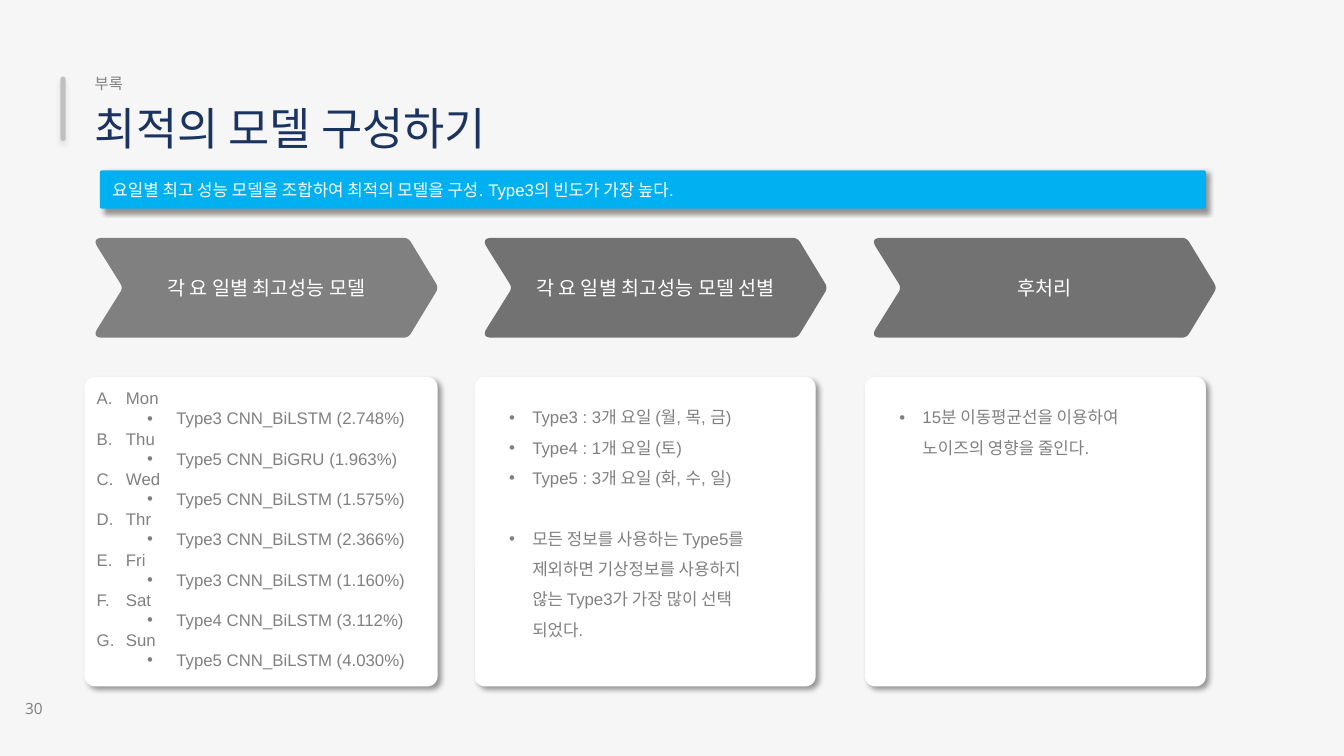
from lxml import etree
from pptx import Presentation
from pptx.dml.color import RGBColor
from pptx.enum.shapes import MSO_SHAPE
from pptx.enum.text import MSO_ANCHOR, PP_ALIGN
from pptx.oxml.ns import qn
from pptx.util import Emu, Inches, Pt

ROUNDED = MSO_SHAPE.ROUNDED_RECTANGLE
TOP, MIDDLE = MSO_ANCHOR.TOP, MSO_ANCHOR.MIDDLE
LEFT, CENTER = PP_ALIGN.LEFT, PP_ALIGN.CENTER

COLORS = {
    "background": "F6F6F6", "title": "1B335F", "text": "808080", "white": "FFFFFF",
    "accent": "BFBFBF", "banner": "00B0F0", "first_step": "808080", "step": "727272",
    "page": "7F7F7F", "black": "000000",
}

SECTION = "부록"
TITLE = "최적의 모델 구성하기"
PAGE = "30"
SUMMARY = "요일별 최고 성능 모델을 조합하여 최적의 모델을 구성. Type3의 빈도가 가장 높다."
STEPS = ["각 요 일별 최고성능 모델", "각 요 일별 최고성능 모델 선별", "후처리"]
BEST_MODELS = [
    ("Mon", "Type3 CNN_BiLSTM (2.748%)"),
    ("Thu", "Type5 CNN_BiGRU (1.963%)"),
    ("Wed", "Type5 CNN_BiLSTM (1.575%)"),
    ("Thr", "Type3 CNN_BiLSTM (2.366%)"),
    ("Fri", "Type3 CNN_BiLSTM (1.160%)"),
    ("Sat", "Type4 CNN_BiLSTM (3.112%)"),
    ("Sun", "Type5 CNN_BiLSTM (4.030%)"),
]
SELECTION = [
    "Type3 : 3개 요일 (월, 목, 금)",
    "Type4 : 1개 요일 (토)",
    "Type5 : 3개 요일 (화, 수, 일)",
    "모든 정보를 사용하는 Type5를 제외하면 기상정보를 사용하지 않는 Type3가 가장 많이 선택 되었다.",
]
POSTPROCESSING = ["15분 이동평균선을 이용하여 노이즈의 영향을 줄인다."]

STEP_LEFT, STEP_TOP, STEP_PITCH = 0.96, 2.36, 3.86
PANEL_LEFT, PANEL_TOP, PANEL_PITCH, PANEL_HEIGHT = 0.84, 3.74, 3.87, 3.07
PANEL_WIDTHS = [3.5, 3.38, 3.38]
CHEVRON = [
    (-0.05, 0, 0.11), (3.09, 0, 0.05), (3.39, 0.495, 0.05),
    (3.09, 0.99, 0.05), (-0.05, 0.99, 0.11), (0.26, 0.495, 0.05),
]


def rgb(name):
    return RGBColor.from_string(COLORS[name])


def paint(shape, fill):
    shape.shadow.inherit = False
    shape.fill.solid()
    shape.fill.fore_color.rgb = rgb(fill)
    shape.line.fill.background()


def add_shadow(shape, color, opacity, angle):
    effects = shape.fill._xPr.find(qn("a:effectLst"))
    shadow = etree.SubElement(effects, qn("a:outerShdw"), blurRad=str(Pt(4)),
                              dist=str(Pt(3)), dir=str(angle * 60000),
                              algn="ctr", rotWithShape="0")
    tint = etree.SubElement(shadow, qn("a:srgbClr"), val=COLORS[color])
    etree.SubElement(tint, qn("a:alpha"), val=str(opacity * 1000))


def add_rounded(slide, box, corner, fill, shadow):
    shape = slide.shapes.add_shape(ROUNDED, *map(Inches, box))
    shape.adjustments[0] = corner
    paint(shape, fill)
    add_shadow(shape, *shadow)
    return shape


def set_frame(frame, insets, anchor, wrap=True):
    frame.margin_left, frame.margin_top, frame.margin_right, frame.margin_bottom = map(Inches, insets)
    frame.vertical_anchor = anchor
    frame.word_wrap = wrap


def style(paragraph, size, color, font="Arial", align=LEFT):
    paragraph.alignment = align
    paragraph.font.size = Pt(size)
    paragraph.font.name = font
    paragraph.font.color.rgb = rgb(color)


def write(frame, text, size, color, font="Arial", align=LEFT):
    frame.text = text
    style(frame.paragraphs[0], size, color, font, align)


def add_item(frame, text, indent, hanging, level=0, numbered=False):
    first = frame.paragraphs[0]
    paragraph = first if not first.runs else frame.add_paragraph()
    paragraph.text = text
    paragraph.level = level
    properties = paragraph._p.get_or_add_pPr()
    properties.set("marL", str(Inches(indent)))
    properties.set("indent", str(Inches(-hanging)))
    if numbered:
        etree.SubElement(properties, qn("a:buAutoNum"), type="alphaUcPeriod")
    else:
        etree.SubElement(properties, qn("a:buFont"), typeface="Arial")
        etree.SubElement(properties, qn("a:buChar"), char="•")
    style(paragraph, 12, "text")
    return paragraph


def toward(corner, other, distance):
    dx, dy = other[0] - corner[0], other[1] - corner[1]
    share = distance / (dx * dx + dy * dy) ** 0.5
    return corner[0] + dx * share, corner[1] + dy * share


def rounded_outline(corners, left, top, pieces=8):
    outline = []
    for i, corner in enumerate(corners):
        start = toward(corner, corners[i - 1], corner[2])
        end = toward(corner, corners[(i + 1) % len(corners)], corner[2])
        for piece in range(pieces + 1):
            t = piece / pieces
            x, y = ((1 - t) ** 2 * a + 2 * t * (1 - t) * b + t * t * c
                    for a, b, c in zip(start, corner, end))
            outline.append((Inches(left + x), Inches(top + y)))
    return outline


def add_step(slide, index, label):
    outline = rounded_outline(CHEVRON, STEP_LEFT + index * STEP_PITCH, STEP_TOP)
    builder = slide.shapes.build_freeform(*outline[0], scale=1.0)
    builder.add_line_segments(outline[1:], close=True)
    step = builder.convert_to_shape()
    paint(step, "step" if index else "first_step")
    set_frame(step.text_frame, (0.02, 0.02, 0.02, 0.02), MIDDLE)
    write(step.text_frame, label, 14, "white", align=CENTER)


def add_panel(slide, index, insets):
    box = (PANEL_LEFT + index * PANEL_PITCH, PANEL_TOP, PANEL_WIDTHS[index], PANEL_HEIGHT)
    panel = add_rounded(slide, box, 0.033, "white", ("black", 40, 45))
    set_frame(panel.text_frame, insets, TOP)
    return panel.text_frame


def add_label(slide, box, text, size, color, font, wrap):
    frame = slide.shapes.add_textbox(*map(Inches, box)).text_frame
    set_frame(frame, (0.1, 0.05, 0.1, 0.05), TOP, wrap)
    write(frame, text, size, color, font)


def main():
    deck = Presentation()
    deck.slide_width, deck.slide_height = Inches(13.33), Inches(7.5)
    slide = deck.slides.add_slide(deck.slide_layouts[5])
    slide.background.fill.solid()
    slide.background.fill.fore_color.rgb = rgb("background")

    add_rounded(slide, (0.6, 0.76, 0.05, 0.64), 0.5, "accent", ("text", 22, 90))
    title = slide.shapes.title
    title.left, title.top, title.width, title.height = map(Inches, (0.84, 0.95, 11.25, 0.64))
    set_frame(title.text_frame, (0.1, 0.05, 0.1, 0.05), TOP)
    write(title.text_frame, TITLE, 32, "title", "Manrope")
    add_label(slide, (0.84, 0.69, 0.51, 0.29), SECTION, 11, "text", "Arial", False)
    add_label(slide, (0.15, 6.89, 0.47, 0.43), PAGE, 11, "page", "Open Sans", True)

    banner = add_rounded(slide, (0.99, 1.69, 10.97, 0.38), 0.056, "banner", ("black", 40, 45))
    set_frame(banner.text_frame, (0.12, 0, 0.12, 0), MIDDLE)
    write(banner.text_frame, SUMMARY, 12, "white")

    for index, label in enumerate(STEPS):
        add_step(slide, index, label)

    best_models = add_panel(slide, 0, (0.09, 0.08, 0, 0))
    for day, model in BEST_MODELS:
        add_item(best_models, day, 0.29, 0.29, numbered=True)
        add_item(best_models, model, 0.79, 0.29, level=1)

    for index, items in enumerate((SELECTION, POSTPROCESSING), start=1):
        panel = add_panel(slide, index, (0.31, 0.17, 0.39, 0))
        for item in items:
            add_item(panel, item, 0.23, 0.23).line_spacing = 1.5
        if len(items) > 1:
            panel.paragraphs[-1].space_before = Pt(22)

    deck.save("out.pptx")


if __name__ == "__main__":
    main()
